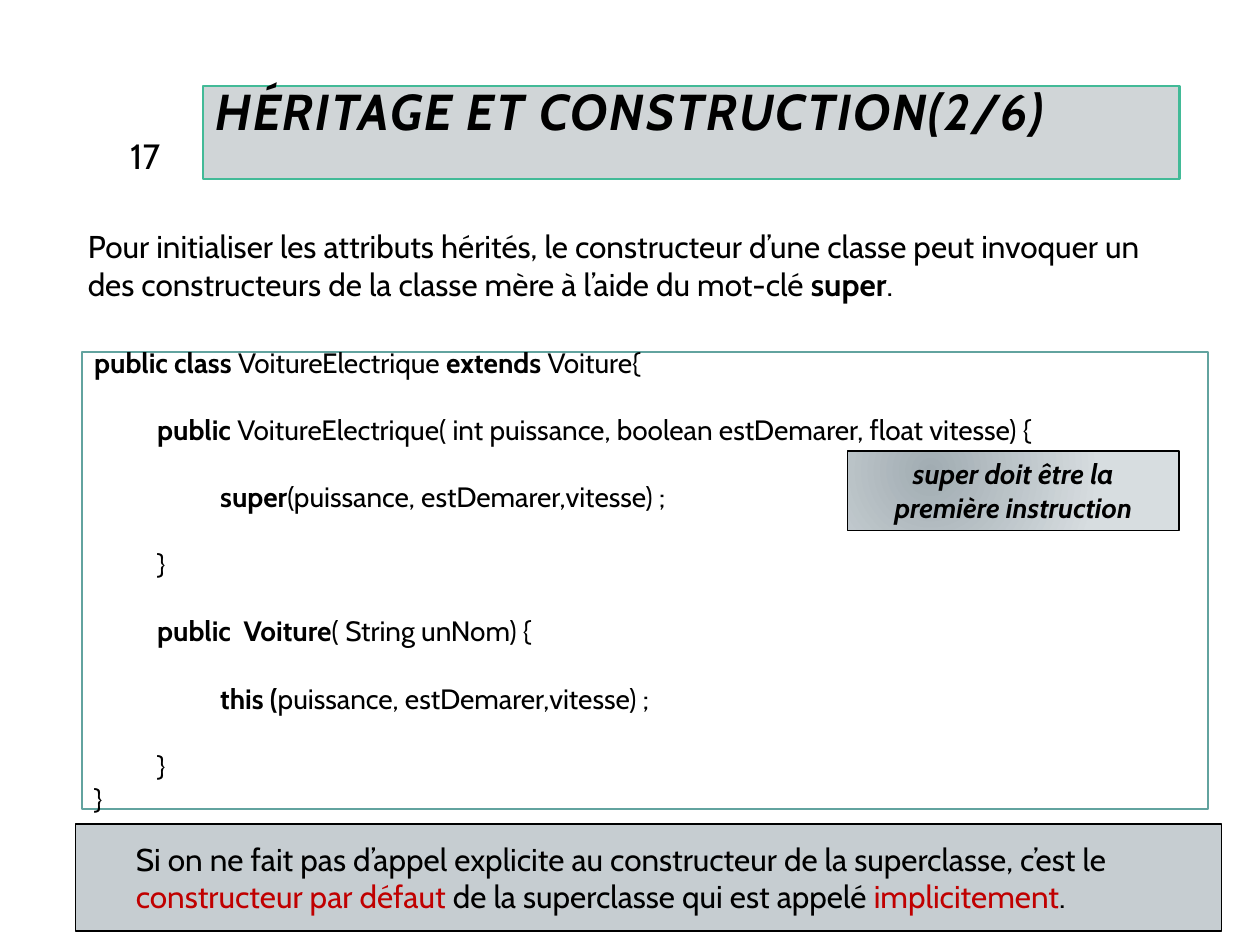
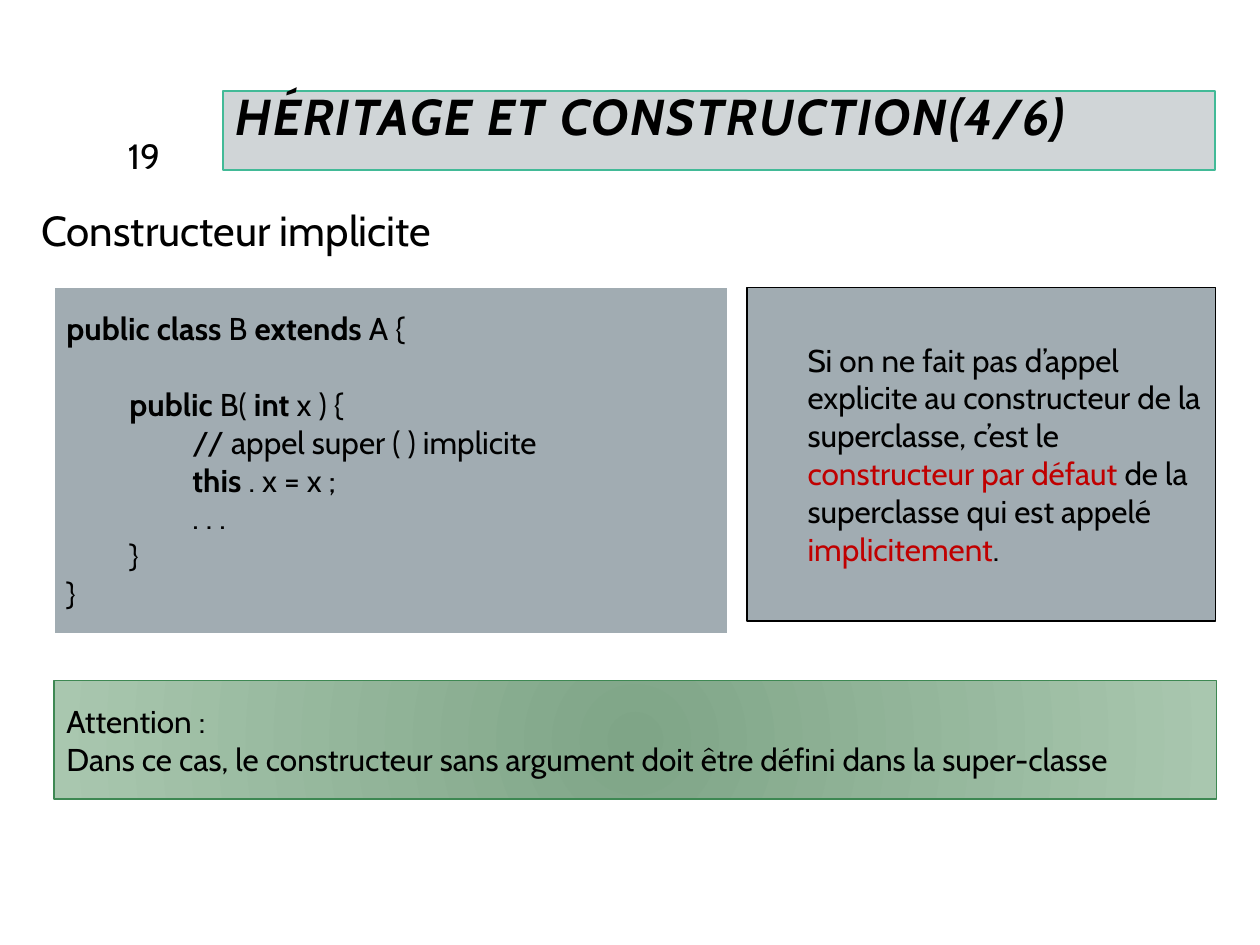
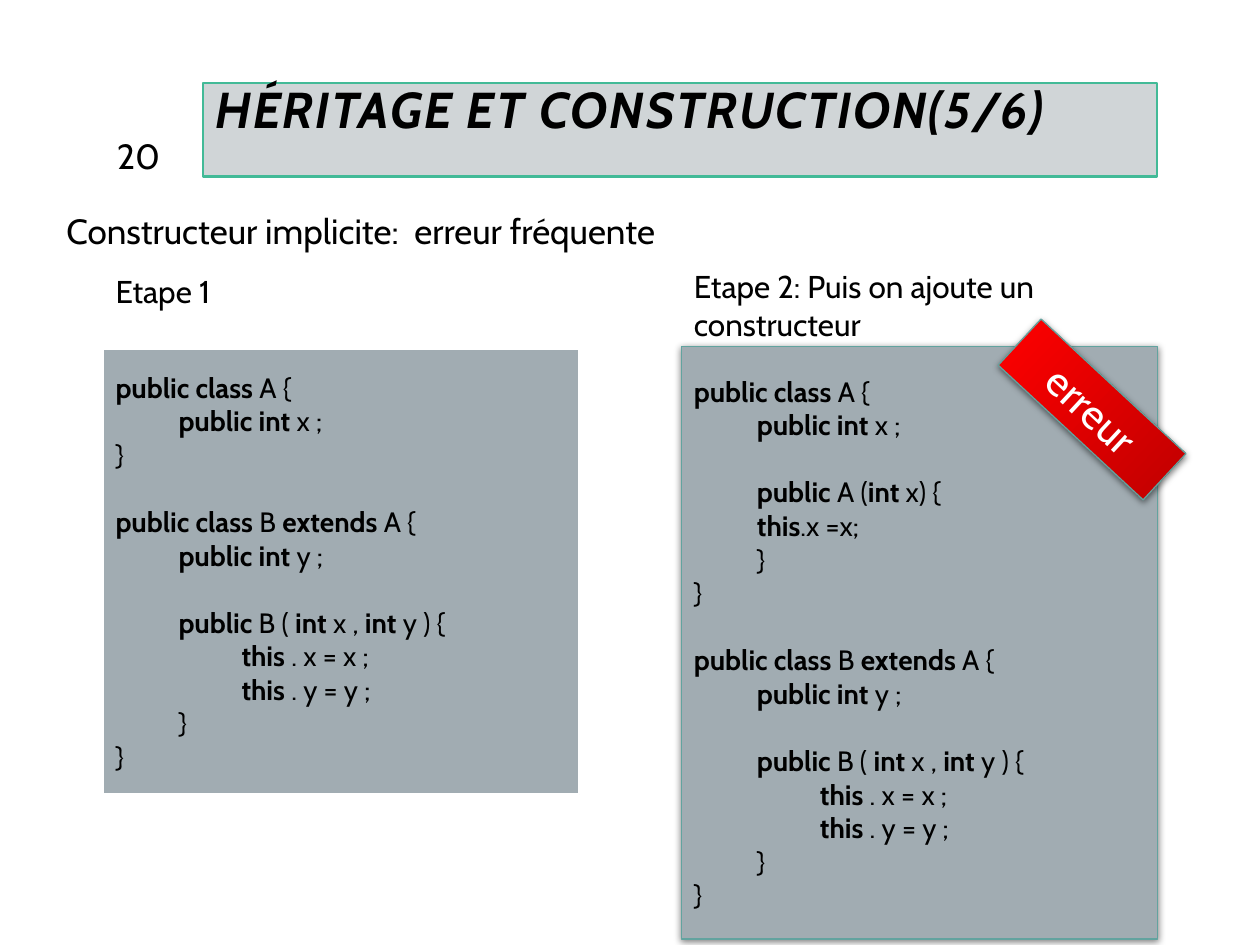
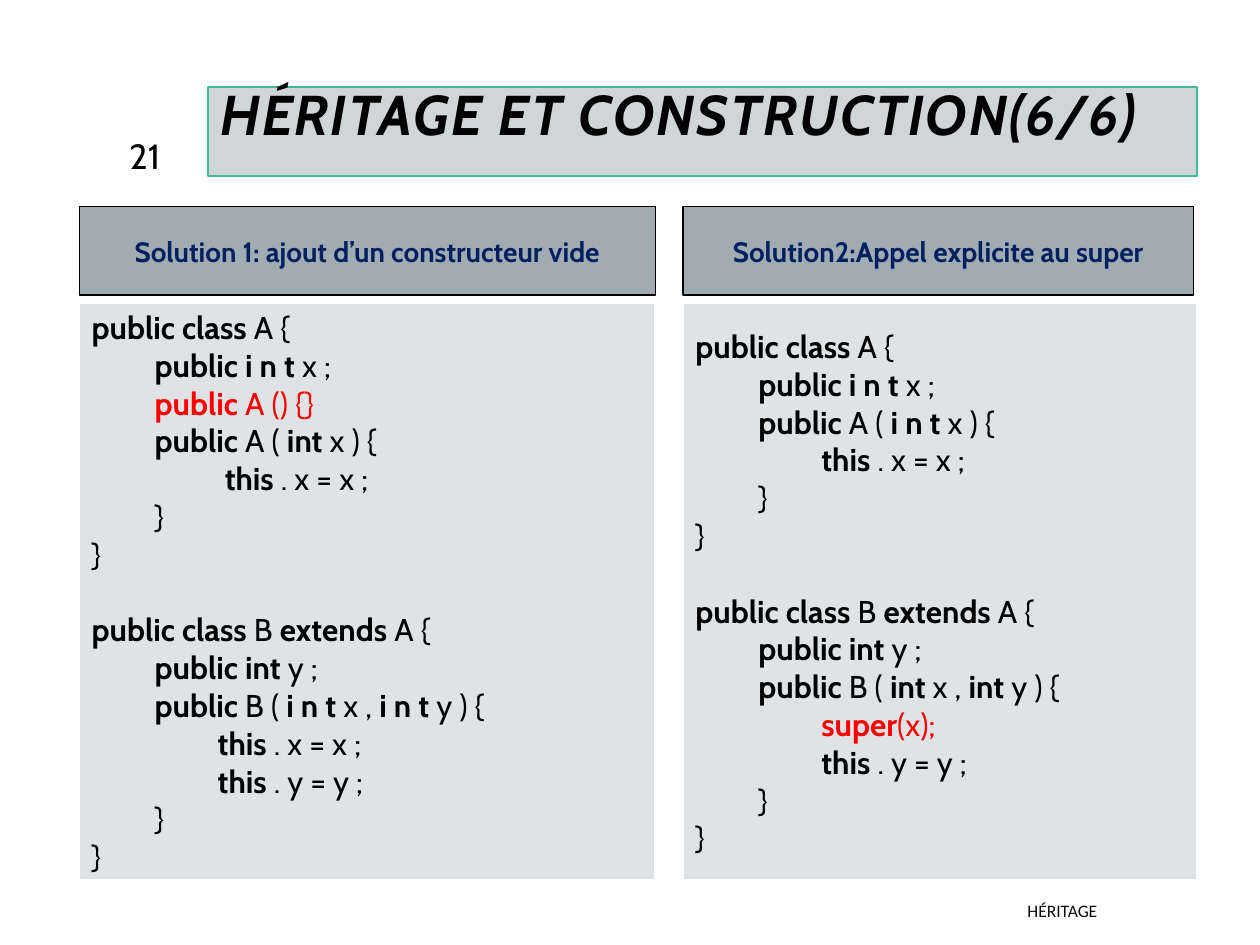
from pptx import Presentation
from pptx.dml.color import RGBColor
from pptx.enum.shapes import MSO_SHAPE
from pptx.enum.text import MSO_ANCHOR, PP_ALIGN
from pptx.oxml import parse_xml
from pptx.oxml.ns import nsdecls, qn
from pptx.util import Cm, Pt

# ---------- shared look ----------
FONT = "Cabin"
BLACK, WHITE = "000000", "FFFFFF"
SLATE, PALE, MIST = "A1ACB2", "DFE3E5", "C6CDD1"
TITLE_FILL, TITLE_LINE, TEAL = "65757D", "42BA97", "62A39F"
DARK_RED, RED, NAVY = "C00000", "FF0000", "002060"
LINE_HEIGHT = 1.2       # Cabin line height, in font sizes
TAB, HANG = 1.27, 0.97  # indents in cm
DEFAULT_RULE = ("Si on ne fait pas d’appel explicite au constructeur de la superclasse, "
                "c’est le ~constructeur par défaut ~de la superclasse qui est appelé "
                "~implicitement~.")

deck = Presentation()
deck.slide_width, deck.slide_height = Cm(25.4), Cm(19.05)


def colour(value):
    return RGBColor.from_string(value)


# ---------- text ----------
def add_spans(para, text, size, ink=BLACK, accent=DARK_RED, bold=False,
              italic=False, font=FONT):
    """Write text in which ~...~ takes the accent colour and *...* is bold."""
    for tint, part in enumerate(text.split("~")):
        for weight, piece in enumerate(part.split("*")):
            if not piece:
                continue
            span = para.add_run()
            span.text = piece
            look = {"name": font, "size": Pt(size), "italic": italic,
                    "bold": bold or weight % 2 == 1}
            for name, value in look.items():
                setattr(span.font, name, value)
            span.font.color.rgb = colour(accent if tint % 2 else ink)


def write(shape, lines, size, align=PP_ALIGN.LEFT, anchor=MSO_ANCHOR.MIDDLE,
          indent=0, spacing=None, **style):
    """Fill a shape with lines; four leading spaces make one tab of indent,
    and an empty line becomes space before the next paragraph."""
    frame = shape.text_frame
    frame.word_wrap, frame.vertical_anchor = True, anchor
    para, gap = None, 0
    for line in lines:
        if not line:
            gap += size * LINE_HEIGHT
            continue
        para = frame.add_paragraph() if para else frame.paragraphs[0]
        depth = (len(line) - len(line.lstrip())) // 4
        look = {"alignment": align, "space_before": Pt(gap), "line_spacing": spacing}
        for name, value in look.items():
            setattr(para, name, value)
        para._p.get_or_add_pPr().set("marL", str(Cm(indent + depth * TAB)))
        add_spans(para, line[depth * 4:], size, **style)
        gap = 0


def add_label(page, box, text, size, anchor=MSO_ANCHOR.TOP, **style):
    label = page.shapes.add_textbox(*map(Cm, box))
    write(label, [text], size, anchor=anchor, **style)
    return label


# ---------- shapes ----------
def add_panel(page, box, fill, line, width=0.75):
    """A rectangle; fill is one colour or a pair for a gradient."""
    panel = page.shapes.add_shape(MSO_SHAPE.RECTANGLE, *map(Cm, box))
    panel.shadow.inherit = False
    if isinstance(fill, str):
        panel.fill.solid()
        panel.fill.fore_color.rgb = colour(fill)
    else:
        panel.fill.gradient()
        panel.fill.gradient_angle = 0
        for stop, value in zip(panel.fill.gradient_stops, fill):
            stop.color.rgb = colour(value)
        first, last = panel.fill.gradient_stops
        first.position, last.position = 0, 1
    panel.line.color.rgb = colour(line)
    panel.line.width = Pt(width)
    return panel


def make_radial(panel, left, top):
    """Turn a linear gradient into a circular one."""
    gradient = panel._element.spPr.find(qn("a:gradFill"))
    gradient.replace(gradient.find(qn("a:lin")), parse_xml(
        f'<a:path {nsdecls("a")} path="circle"><a:fillToRect l="{left * 1000}" '
        f't="{top * 1000}" r="100000" b="100000"/></a:path>'))


def add_shadow(panel):
    panel._element.spPr.find(qn("a:effectLst")).append(parse_xml(
        f'<a:outerShdw {nsdecls("a")} blurRad="{Pt(4)}" dist="{Pt(1)}" dir="5400000" '
        f'rotWithShape="0"><a:srgbClr val="{BLACK}"><a:alpha val="50000"/>'
        '</a:srgbClr></a:outerShdw>'))


# ---------- regions ----------
def add_header(box, part, number, size=28.8):
    """New page with its title band and slide number."""
    page = deck.slides.add_slide(deck.slide_layouts[6])
    band = add_panel(page, box, TITLE_FILL, TITLE_LINE, 1.25)
    band._element.spPr.find(qn("a:solidFill"))[0].append(
        parse_xml(f'<a:alpha {nsdecls("a")} val="30000"/>'))
    write(band, [f"HÉRITAGE ET CONSTRUCTION({part}/6)"], size, spacing=0.8,
          anchor=MSO_ANCHOR.TOP, bold=True, italic=True)
    for span in band.text_frame.paragraphs[0].runs:
        span.font._element.set("spc", "100")
    add_label(page, (1.85, 2.62, 1.63, 1.02), str(number), 20,
              anchor=MSO_ANCHOR.MIDDLE, align=PP_ALIGN.RIGHT)
    return page


def add_code(page, box, code, size, fill=SLATE, line=WHITE, width=1):
    panel = add_panel(page, box, fill, line, width)
    write(panel, code.strip("\n").split("\n"), size, accent=RED)
    return panel


def add_rule(page, box, fill):
    write(add_panel(page, box, fill, BLACK), [DEFAULT_RULE], 18, indent=HANG)


def add_solution(page, left, widths, heading, code):
    """Heading band above a code panel."""
    band = add_panel(page, (left, 4.17, widths[0], 1.78), SLATE, BLACK)
    write(band, [heading], 16, align=PP_ALIGN.CENTER, ink=NAVY, bold=True)
    add_code(page, (left, 6.12, widths[1], 11.61), code, 18, PALE)


# ---------- code listings ----------
CODE_CAR = """
*public class *VoitureElectrique *extends *Voiture{

    *public *VoitureElectrique( int puissance, boolean estDemarer, float vitesse) {

        *super*(puissance, estDemarer,vitesse) ;

    }

    *public  Voiture*( String unNom) {

        *this (*puissance, estDemarer,vitesse) ;

    }
}
"""
CODE_IMPLICIT = """
*public class *B *extends *A {

    *public *B( *int *x ) {
        // appel super ( ) implicite
        *this *. x = x ;
        . . .
    }
}
"""
CODE_CHILD = """
*public class *B *extends *A {
    *public int *y ;

    *public *B ( *int *x , *int *y ) {
        *this *. x = x ;
        *this *. y = y ;
    }
}
"""
CODE_STEP_1 = """
*public class *A {
    *public int *x ;
}
""" + CODE_CHILD
CODE_STEP_2 = """
*public class *A {
    *public int *x ;

    *public *A (*int *x) {
    *this*.x =x;
    }
}
""" + CODE_CHILD
CODE_EMPTY = """
*public class *A {
    *public i n t *x ;
    ~*public *A () {}~
    *public *A ( *int *x ) {
        * this *. x = x ;
    }
}

*public class *B *extends *A {
    *public int *y ;
    *public *B ( *i n t *x , *i n t *y ) {
        *this *. x = x ;
        *this *. y = y ;
    }
}
"""
CODE_SUPER = """
*public class *A {
    *public i n t *x ;
    *public *A ( *i n t *x ) {
        *this *. x = x ;
    }
}

*public class *B *extends *A {
    *public int *y ;
    *public *B ( *int *x , *int *y ) {
        ~*super*(x);~
        *this *. y = y ;
    }
}
"""


# ---------- slides ----------
def build_super_call():
    page = add_header((4.09, 1.73, 19.69, 1.88), 2, 17)
    add_code(page, (1.65, 7.09, 22.71, 9.22), CODE_CAR, 16, WHITE, TEAL, 1.25)
    add_label(page, (1.52, 4.45, 22.71, 1.8),
              "Pour initialiser les attributs hérités, le constructeur d’une classe peut "
              "invoquer un des constructeurs de la classe mère à l’aide du mot-clé *super*.", 18)
    callout = add_panel(page, (17.09, 9.09, 6.68, 1.6), (SLATE, "D7DDE0"), BLACK)
    make_radial(callout, 50, 50)
    write(callout, ["super doit être la première instruction"], 16,
          align=PP_ALIGN.CENTER, bold=True, italic=True)
    add_rule(page, (1.52, 16.61, 23.11, 2.16), MIST)


def build_implicit():
    page = add_header((4.5, 1.83, 19.99, 1.6), 4, 19)
    heading = add_label(page, (0.71, 4.11, 23.44, 1.6), "Constructeur implicite", 24,
                        spacing=0.9)
    for side in ("left", "right", "top", "bottom"):
        setattr(heading.text_frame, f"margin_{side}", Cm(0.13))
    add_code(page, (1.09, 5.79, 13.59, 6.99), CODE_IMPLICIT, 18)
    add_rule(page, (15.06, 5.79, 9.45, 6.73), SLATE)
    warning = add_panel(page, (1.09, 13.72, 23.44, 2.39), ("7FA587", "A9C7AF"), "3E8853")
    make_radial(warning, 100, 100)
    write(warning, ["Attention :", "Dans ce cas, le constructeur sans argument doit être "
                    "défini dans la super-classe"], 18)


def build_common_error():
    page = add_header((4.09, 1.68, 19.23, 1.88), 5, 20)
    add_code(page, (2.08, 7.04, 9.6, 8.97), CODE_STEP_1, 16)
    add_shadow(add_code(page, (13.74, 6.99, 9.6, 11.94), CODE_STEP_2, 16, SLATE, TEAL, 0.75))
    # Tilted error stamp
    stamp = add_panel(page, (20.02, 7.62, 3.99, 1.27), (RED, DARK_RED), TEAL)
    stamp.rotation = 42.9
    add_shadow(stamp)
    write(stamp, ["erreur"], 24, align=PP_ALIGN.CENTER, anchor=MSO_ANCHOR.TOP, ink=WHITE)
    # Headings
    add_label(page, (13.74, 5.26, 7.8, 1.8), "Etape 2: Puis on ajoute un constructeur", 18)
    add_label(page, (1.09, 4.09, 13.72, 1.12), "Constructeur implicite:  erreur fréquente", 20)
    add_label(page, (2.08, 5.36, 2.9, 1.02), "Etape 1", 18)


def build_solutions():
    page = add_header((4.19, 1.75, 19.94, 1.8), 6, 21, 32)
    add_solution(page, 1.6, (11.61, 11.61), "Solution 1: ajout d’un constructeur vide",
                 CODE_EMPTY)
    add_solution(page, 13.77, (10.29, 10.36), "Solution2:Appel explicite au super",
                 CODE_SUPER)
    add_label(page, (10.08, 17.98, 12.29, 0.76), "HÉRITAGE", 10, anchor=MSO_ANCHOR.MIDDLE,
              align=PP_ALIGN.RIGHT, ink="0D0D0D", font="Calibri")


for build in (build_super_call, build_implicit, build_common_error, build_solutions):
    build()

deck.save("out.pptx")
